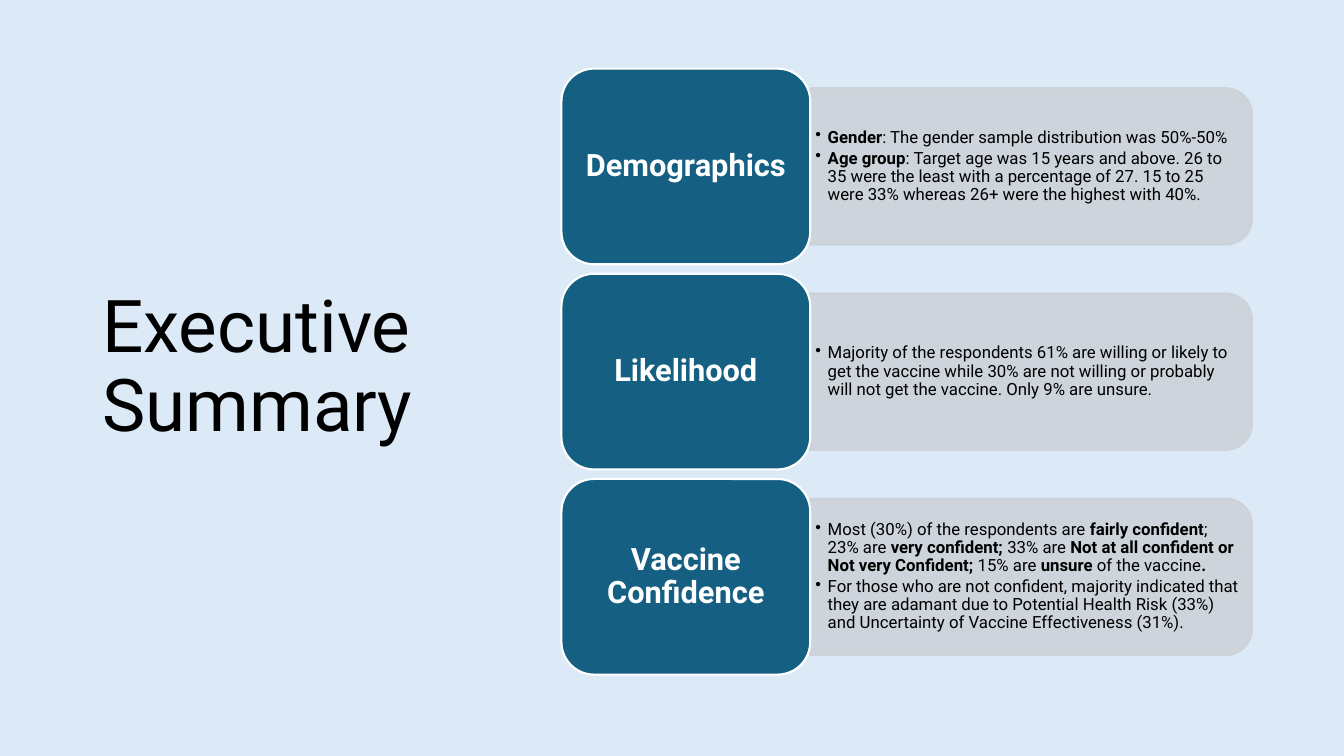
from lxml import etree
from pptx import Presentation
from pptx.dml.color import RGBColor
from pptx.enum import shapes, text
from pptx.oxml.ns import qn
from pptx.util import Cm, Pt

SKY = RGBColor(0xDC, 0xEA, 0xF7)
TEAL = RGBColor(0x15, 0x60, 0x82)
GREY = RGBColor(0xCC, 0xD2, 0xD8)
WHITE = RGBColor(0xFF, 0xFF, 0xFF)
BLACK = RGBColor(0, 0, 0)

# Bold passages stand between asterisks.
FINDINGS = [
    ("Demographics", [
        "*Gender*: The gender sample distribution was 50%-50%",
        "*Age group*: Target age was 15 years and above. 26 to 35 were the least "
        "with a percentage of 27. 15 to 25 were 33% whereas 26+ were the highest with 40%.",
    ]),
    ("Likelihood", [
        "Majority of the respondents 61% are willing or likely to get the vaccine while "
        "30% are not willing or probably will not get the vaccine. Only 9% are unsure.",
    ]),
    ("Vaccine Confidence", [
        "Most (30%) of the respondents are *fairly confident*; 23% are *very confident; *"
        "33% are *Not at all confident or Not very Confident; *15% are *unsure *"
        "of the vaccine*.*",
        "For those who are not confident, majority indicated that they are adamant due to "
        "Potential Health Risk (33%) and Uncertainty of Vaccine Effectiveness (31%).",
    ]),
]

CARD_LEFT, CARD_TOP, CARD_WIDTH, CARD_HEIGHT = Cm(14.15), Cm(1.73), Cm(6.27), Cm(4.93)
CARD_PITCH = Cm(5.17)
BAR_LENGTH, BAR_DEPTH = Cm(11.13), Cm(3.94)
DETAIL_WIDTH, DETAIL_HEIGHT = Cm(10.95), Cm(3.56)


def style_paragraph(paragraph, size, color):
    paragraph.line_spacing = 0.9
    paragraph.font.name = "Roboto"
    paragraph.font.size = Pt(size)
    paragraph.font.color.rgb = color


def set_frame(frame, side, edge):
    """Wrap and middle-anchor the text, with side and top/bottom insets."""
    frame.word_wrap = True
    frame.vertical_anchor = text.MSO_ANCHOR.MIDDLE
    frame.margin_left = frame.margin_right = Cm(side)
    frame.margin_top = frame.margin_bottom = Cm(edge)


prs = Presentation()
prs.slide_width, prs.slide_height = Cm(33.87), Cm(19.05)
slide = prs.slides.add_slide(prs.slide_layouts[6])
slide.background.fill.solid()
slide.background.fill.fore_color.rgb = SKY

title = slide.shapes.add_textbox(Cm(2.33), Cm(1.55), Cm(9.37), Cm(15.47)).text_frame
set_frame(title, 0.25, 0.13)
title.text = "Executive Summary"
style_paragraph(title.paragraphs[0], 52, BLACK)

detail_left = CARD_LEFT + CARD_WIDTH
for row, (topic, points) in enumerate(FINDINGS):
    card_top = CARD_TOP + row * CARD_PITCH
    middle = card_top + CARD_HEIGHT // 2

    # The bar is upright before its quarter turn about its centre.
    bar = slide.shapes.add_shape(
        shapes.MSO_SHAPE.ROUND_2_SAME_RECTANGLE,
        detail_left + (BAR_LENGTH - BAR_DEPTH) // 2, middle - BAR_LENGTH // 2,
        BAR_DEPTH, BAR_LENGTH)
    bar.rotation = 90
    bar.shadow.inherit = False
    bar.fill.solid()
    bar.fill.fore_color.rgb = GREY
    bar.line.color.rgb = GREY
    bar.line.width = Pt(1.5)
    for color in bar.element.spPr.iter(qn("a:srgbClr")):
        etree.SubElement(color, qn("a:alpha"), val="90000")

    detail = slide.shapes.add_textbox(
        detail_left, middle - DETAIL_HEIGHT // 2, DETAIL_WIDTH, DETAIL_HEIGHT).text_frame
    set_frame(detail, 0.13, 0.08)
    for index, point in enumerate(points):
        paragraph = detail.add_paragraph() if index else detail.paragraphs[0]
        style_paragraph(paragraph, 12, BLACK)
        paragraph.space_after = Pt(1.8)
        properties = paragraph._p.get_or_add_pPr()
        properties.set("marL", str(Cm(0.31)))
        properties.set("indent", str(-Cm(0.31)))
        bullet = etree.Element(qn("a:buChar"), char="•")
        properties.find(qn("a:defRPr")).addprevious(bullet)
        for part, words in enumerate(point.split("*")):
            if words:
                run = paragraph.add_run()
                run.text = words
                run.font.bold = part % 2 == 1

    card = slide.shapes.add_shape(
        shapes.MSO_SHAPE.ROUNDED_RECTANGLE, CARD_LEFT, card_top, CARD_WIDTH, CARD_HEIGHT)
    card.shadow.inherit = False
    card.fill.solid()
    card.fill.fore_color.rgb = TEAL
    card.line.color.rgb = WHITE
    card.line.width = Pt(1.5)
    set_frame(card.text_frame, 0.23, 0.13)
    card.text_frame.text = topic
    heading = card.text_frame.paragraphs[0]
    style_paragraph(heading, 22, WHITE)
    heading.font.bold = True
    heading.alignment = text.PP_ALIGN.CENTER

prs.save("out.pptx")
